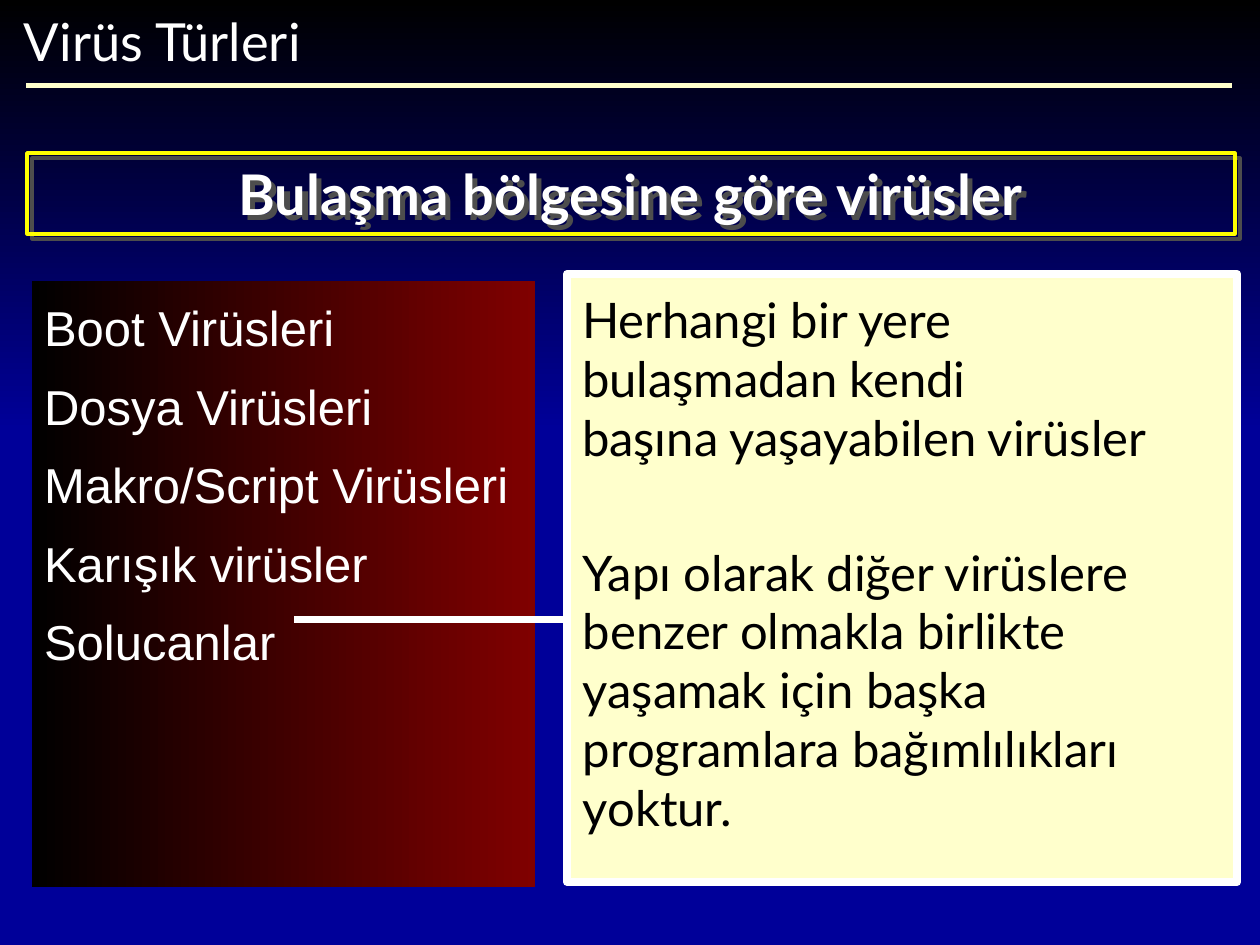
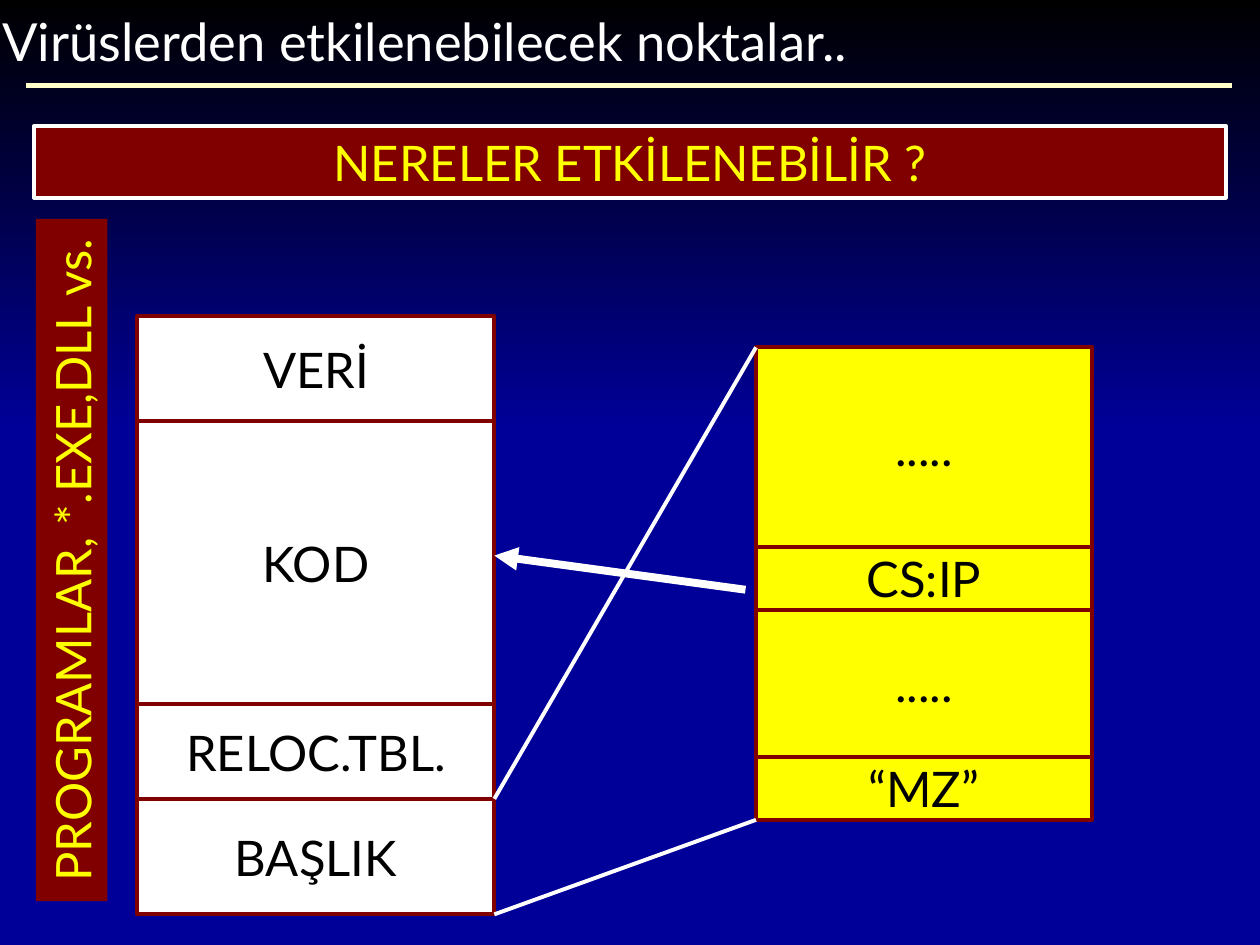
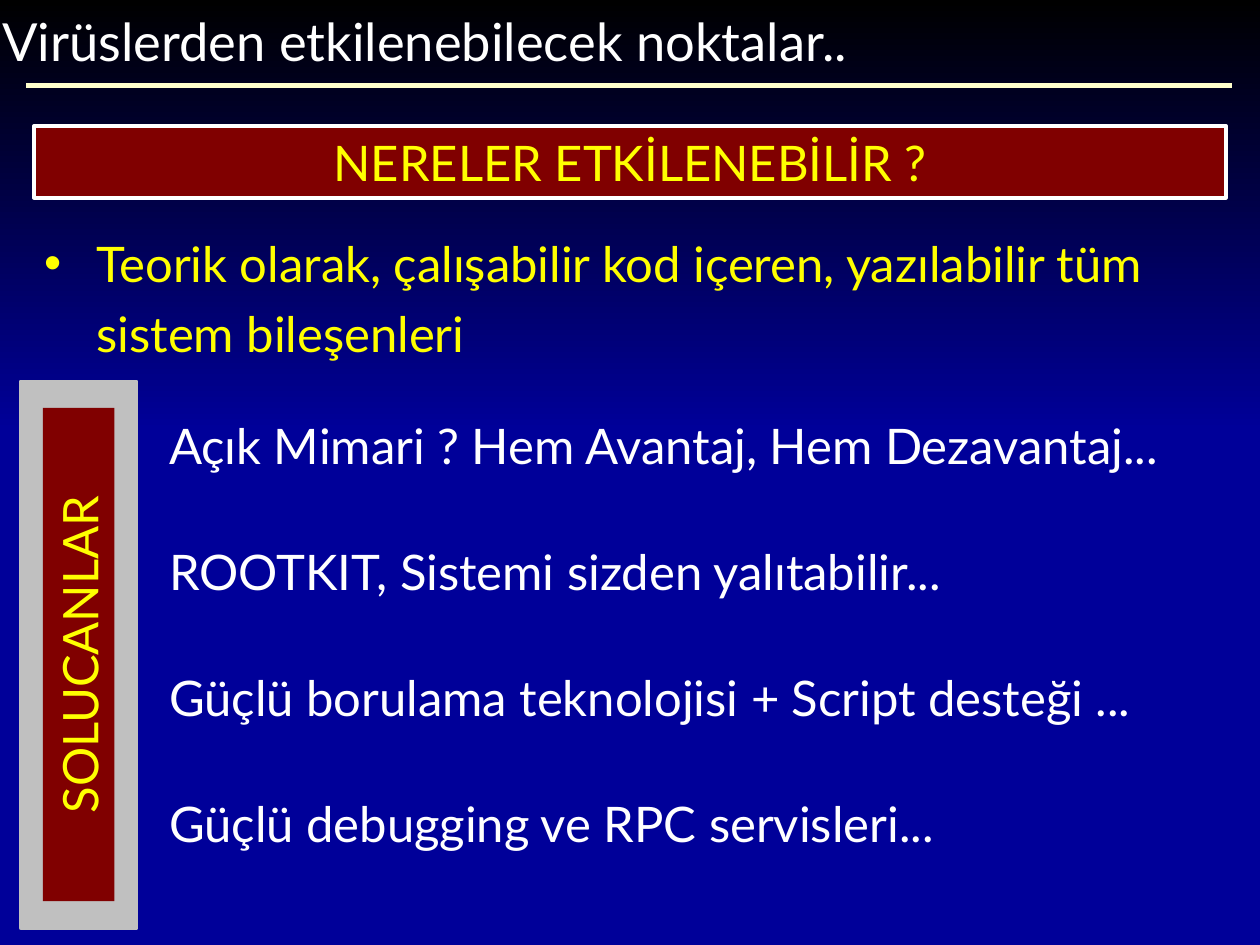
from dataclasses import dataclass
from lxml.etree import SubElement
from pptx import Presentation
from pptx.dml.color import RGBColor
from pptx.enum.shapes import MSO_CONNECTOR, MSO_SHAPE
from pptx.enum.text import MSO_ANCHOR, MSO_AUTO_SIZE, PP_ALIGN
from pptx.oxml.ns import qn
from pptx.util import Pt


@dataclass(frozen=True)
class Theme:
    black: RGBColor = RGBColor(0, 0, 0)
    white: RGBColor = RGBColor(255, 255, 255)
    navy: RGBColor = RGBColor(0, 0, 0x99)
    cream: RGBColor = RGBColor(255, 255, 0xCC)
    yellow: RGBColor = RGBColor(255, 255, 0)
    maroon: RGBColor = RGBColor(0x80, 0, 0)
    silver: RGBColor = RGBColor(0xC0, 0xC0, 0xC0)
    shade: str = "4D4D4D"
    font: str = "Lato"
    plain: str = "Arial"
    title: int = 30
    head: int = 32
    body: int = 28
    thin: float = 2.25
    rule: float = 3
    thick: float = 4.5


look = Theme()


def put(shape, area, lines=(), ink=look.black, size=look.body, font=look.font,
        align=PP_ALIGN.CENTER, fill=None, turn=0, edge=None, width=look.thin,
        hang=0, after=0, bold=False):
    shape.left, shape.top, shape.width, shape.height = map(Pt, area)
    shape.shadow.inherit = False
    if isinstance(fill, list):
        shape.fill.gradient()
        shape.fill.gradient_angle = turn
        for stop, tone in zip(shape.fill.gradient_stops, fill):
            stop.color.rgb = tone
    elif fill is not None:
        shape.fill.solid()
        shape.fill.fore_color.rgb = fill
    else:
        shape.fill.background()
    if edge is not None:
        shape.line.color.rgb = edge
        shape.line.width = Pt(width)
    else:
        shape.line.fill.background()
    frame = shape.text_frame
    frame.word_wrap = True
    frame.auto_size = MSO_AUTO_SIZE.NONE
    frame.vertical_anchor = MSO_ANCHOR.MIDDLE
    frame.margin_left = frame.margin_right = Pt(7.2)
    frame.margin_top = frame.margin_bottom = Pt(3.6)
    if lines:
        frame.text = "\n".join(lines)
    for para in frame.paragraphs if lines else ():
        props = para._p.get_or_add_pPr()
        props.set("marL", str(Pt(hang)))
        props.set("indent", str(-Pt(hang)))
        if not hang:
            SubElement(props, qn("a:buNone"))
        para.alignment = align
        para.space_before = Pt(0)
        para.space_after = Pt(after)
        para.font.name = font
        para.font.size = Pt(size)
        para.font.bold = bold
        para.font.color.rgb = ink
    return shape


def join(slide, start, end, ink=look.white, width=look.thin, arrow=False):
    line = slide.shapes.add_connector(MSO_CONNECTOR.STRAIGHT, *map(Pt, start + end))
    line.line.color.rgb = ink
    line.line.width = Pt(width)
    props = line.element.spPr
    if arrow:
        SubElement(props.find(qn("a:ln")), qn("a:tailEnd"), type="triangle")
    SubElement(props, qn("a:effectLst"))
    return line


deck = Presentation()
deck.slide_width, deck.slide_height = Pt(720), Pt(540)
rect = (MSO_SHAPE.RECTANGLE, 0, 0, 0, 0)
blank = (0, 0, 0, 0)
left = PP_ALIGN.LEFT
spot = "Virüslerden etkilenebilecek noktalar.."
pages = []
for title, kind, start, span in (("Virüs Türleri", 1, 6.5, 186),
                                 (spot, 5, -6, 535), (spot, 1, -6, 535)):
    page = deck.slides.add_slide(deck.slide_layouts[kind])
    put(page.shapes.title, (start, 1.5, span, 43), [title], look.white, look.title, align=left)
    pages.append(page)
types, parts, worms = pages

master = deck.slide_master
master.background.fill.solid()
master.background.fill.fore_color.rgb = look.navy
band = put(types.shapes.add_shape(*rect), (0, 0, 720, 246),
           fill=[look.black, look.navy], turn=270)
rule = join(types, (15, 49), (704, 49), look.cream, look.rule)
for place, item in enumerate((band, rule), 2):
    master.shapes.element.insert(place, item.element)

menu = put(types.placeholders[1], (18, 160.5, 288, 346.5),
           ["Boot Virüsleri", "Dosya Virüsleri", "Makro/Script Virüsleri",
            "Karışık virüsler", "Solucanlar"],
           look.white, font=look.plain, align=left, fill=[look.black, look.maroon], after=11.25)
menu.text_frame.vertical_anchor = MSO_ANCHOR.TOP
menu.text_frame.margin_top = Pt(9.6)
head = put(types.shapes.add_shape(*rect), (15.5, 87.5, 690, 46),
           ["Bulaşma bölgesine göre virüsler"], look.white, look.head,
           edge=look.yellow, bold=True)
glow = SubElement(head.element.spPr.find(qn("a:effectLst")), qn("a:outerShdw"),
                  dist=str(Pt(4.2)), dir="2700000", algn="ctr", rotWithShape="0")
SubElement(glow, qn("a:srgbClr"), val=look.shade)
put(types.shapes.add_shape(*rect), (324, 156.5, 383, 347.5),
    fill=look.cream, edge=look.white, width=look.thick)
join(types, (324, 354), (168, 354), width=look.thick)
for area, lines in (
    ((325.5, 162, 367, 108),
     ["Herhangi bir yere", "bulaşmadan kendi", "başına yaşayabilen virüsler"]),
    ((326, 306, 357, 175.5),
     ["Yapı olarak diğer virüslere", "benzer olmakla birlikte", "yaşamak için başka",
      "programlara bağımlılıkları", "yoktur."]),
):
    put(types.shapes.add_textbox(*blank), area, lines, align=left)

put(worms.shapes.add_shape(*rect), (12, 218, 66, 312.5), fill=look.silver, edge=look.silver)
for page, label, area in (
    (parts, "PROGRAMLAR, *.EXE,DLL vs.", (-154, 299.5, 390, 41)),
    (worms, "SOLUCANLAR", (-96, 353.5, 282, 41)),
):
    put(page.shapes.add_shape(*rect), (19.5, 72, 681, 41), ["NERELER ETKİLENEBİLİR ?"],
        look.yellow, fill=look.maroon, edge=look.white)
    side = put(page.shapes.add_shape(*rect), area, [label], look.yellow, fill=look.maroon)
    side.rotation = 270

for x, y, span, fill, cells in (
    (78.5, 180.5, 204, look.white,
     (("VERİ", 60), ("KOD", 162), ("RELOC.TBL.", 54), ("BAŞLIK", 66))),
    (432, 198.5, 192, look.yellow,
     ((".....", 114), ("CS:IP", 36), (".....", 84), ("“MZ”", 36))),
):
    for label, tall in cells:
        put(parts.shapes.add_shape(*rect), (x, y, span, tall), [label],
            fill=fill, edge=look.maroon)
        y += tall
join(parts, (282.5, 522.5), (432, 468.5))
join(parts, (282.5, 456.5), (432, 198.5))
join(parts, (426, 337), (282.5, 317.5), width=look.thick, arrow=True)

lead = put(worms.placeholders[1], (18, 123, 684, 88),
           ["Teorik olarak, çalışabilir kod içeren, yazılabilir tüm sistem bileşenleri"],
           look.yellow, align=left, hang=30)
lead.text_frame.paragraphs[0].line_spacing = 1.2
for row, line in enumerate((
    "Açık Mimari ? Hem Avantaj, Hem Dezavantaj...",
    "ROOTKIT, Sistemi sizden yalıtabilir...",
    "Güçlü borulama teknolojisi + Script desteği ...",
    "Güçlü debugging ve RPC servisleri...",
)):
    put(worms.shapes.add_textbox(*blank), (89.5, 234 + 72 * row, 605, 41), [line],
        look.white, align=left)

deck.save("out.pptx")
